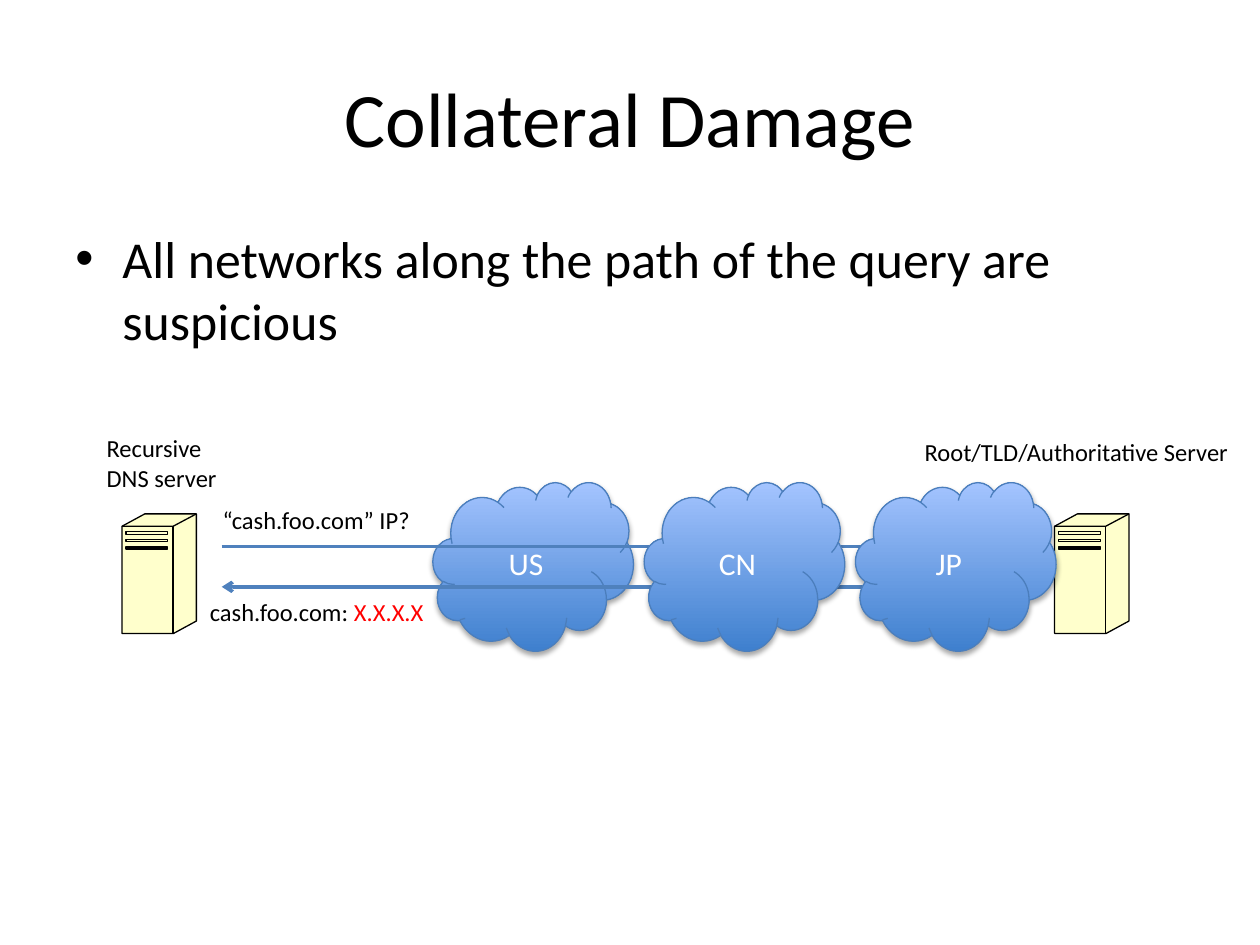
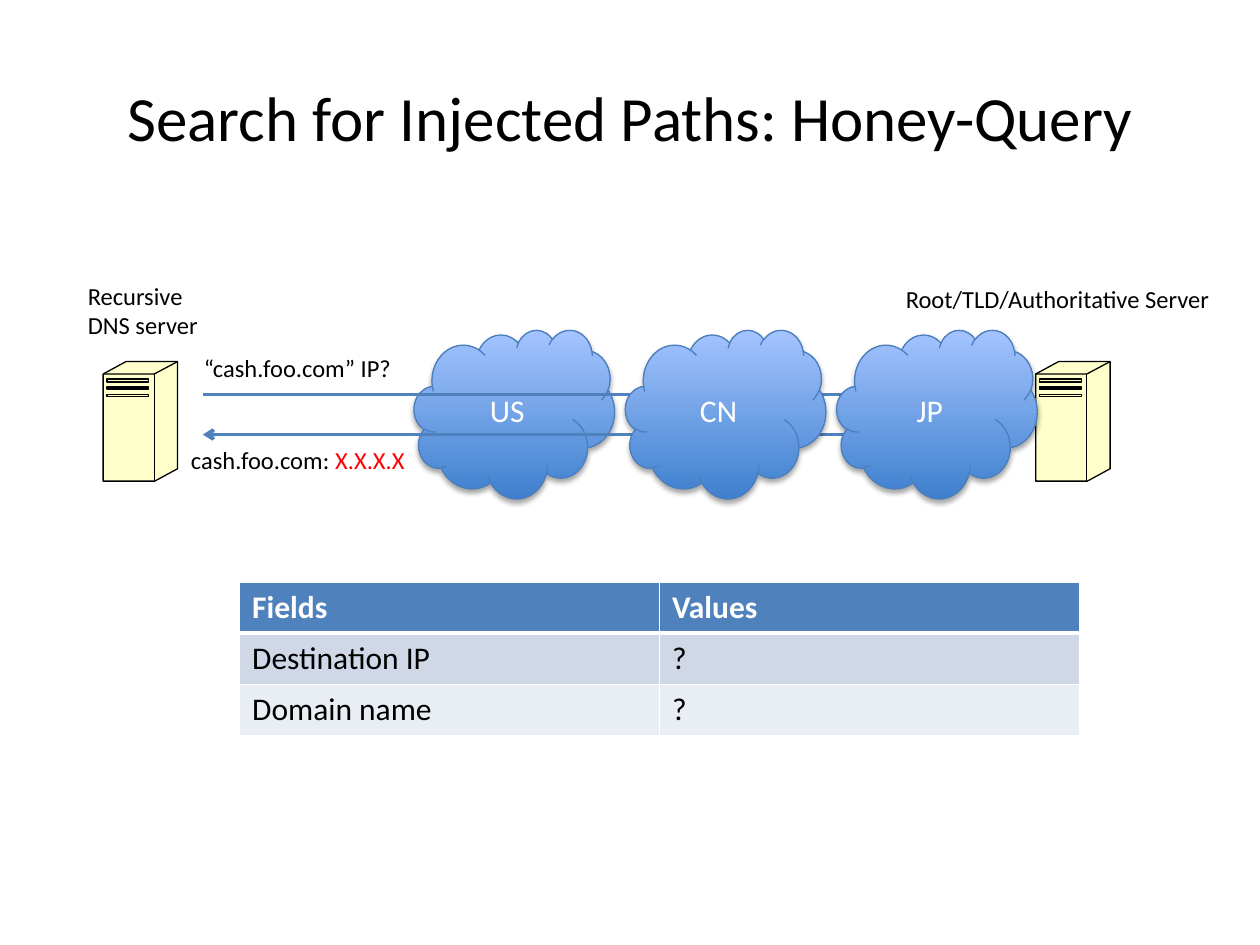
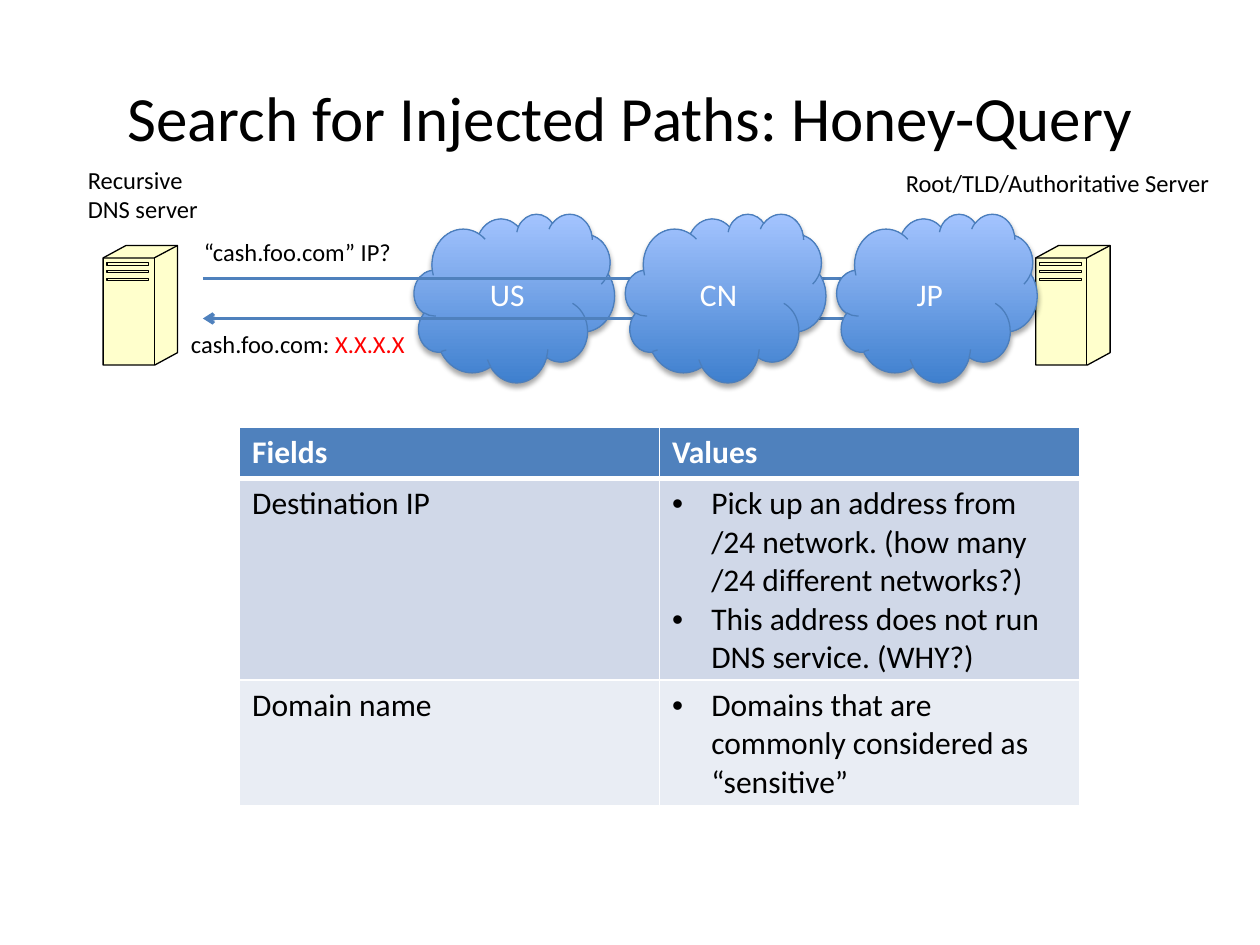
from copy import deepcopy
from dataclasses import dataclass
from itertools import product
from typing import Any, Optional

from lxml.etree import SubElement
from pptx import Presentation
from pptx.dml.color import RGBColor
from pptx.enum.shapes import MSO_CONNECTOR as CONN, MSO_SHAPE as SHAPE
from pptx.enum.text import MSO_ANCHOR as ANCHOR, MSO_AUTO_SIZE as FIT, PP_ALIGN as ALIGN
from pptx.oxml.ns import qn
from pptx.util import Cm, Pt

# Shared colours and font
BLACK = RGBColor(0x00, 0x00, 0x00)
WHITE = RGBColor(0xFF, 0xFF, 0xFF)
RED = RGBColor(0xFF, 0x00, 0x00)
BLUE = RGBColor(0x4F, 0x81, 0xBD)
CLOUD_LINE = RGBColor(0x4B, 0x7E, 0xBC)
CLOUD_DARK = RGBColor(0x3F, 0x80, 0xCE)
CLOUD_LIGHT = RGBColor(0xA4, 0xC4, 0xFF)
SERVER_FILL = RGBColor(0xFF, 0xFF, 0xCC)
ROW_FILLS = (BLUE, RGBColor(0xD0, 0xD8, 0xE8), RGBColor(0xE9, 0xED, 0xF4))
FONT = "Calibri"


@dataclass(frozen=True)
class Run:
    text: str
    color: RGBColor = BLACK


@dataclass(frozen=True)
class Label:
    x: float
    y: float
    w: float
    h: float
    lines: tuple[tuple[Run, ...], ...]


@dataclass(frozen=True)
class FieldTable:
    top: float
    destination: tuple[str, ...]
    domain: tuple[str, ...]
    bulleted: bool = False


@dataclass(frozen=True)
class Page:
    title: str
    title_size: float
    x: float  # top left of the left server
    y: float
    body: str = ""
    table: Optional[FieldTable] = None


# Network diagram, in cm from the top left of the left server
CLOUDS = ("US", "CN", "JP")
CLOUD_X, CLOUD_Y, CLOUD_STEP = 6.27, -0.64, 4.26
CLOUD_W, CLOUD_H = 4.04, 3.4
SERVER_XS = (0, 18.8)
ARROWS = ((2.01, 18.52, 0.66), (18.52, 2.01, 1.47))
LABELS = (
    Label(-0.56, -1.75, 2.77, 1.45, ((Run("Recursive"),), (Run("DNS server"),))),
    Label(15.93, -1.68, 6.73, 0.86, ((Run("Root/TLD/Authoritative Server"),),)),
    Label(1.78, -0.3, 4.37, 0.86, ((Run("“cash.foo.com” IP?"),),)),
    Label(1.52, 1.55, 4.88, 0.86, ((Run("cash.foo.com: "), Run("X.X.X.X", RED)),)),
)

# Server outline and the edges drawn on it
SERVER_BODY = ((0, 0.25), (0.46, 0), (1.5, 0), (1.5, 2.16), (1.04, 2.41), (0, 2.41))
SERVER_EDGES = (
    ((0, 0.25), (1.03, 0.25), (1.5, 0)),
    ((1.03, 0.25), (1.03, 2.41)),
    *(((0.08, y), (0.92, y), (0.92, y + h), (0.08, y + h), (0.08, y))
      for y, h in ((0.35, 0.06), (0.51, 0.04), (0.67, 0.04))),
)

HONEY_TITLE = "Search for Injected Paths: Honey-Query"
PAGES = (
    Page("Collateral Damage", 44, 2.46, 10.36,
         body="All networks along the path of the query are suspicious"),
    Page(HONEY_TITLE, 36, 2.08, 7.29, table=FieldTable(11.73, ("?",), ("?",))),
    Page(HONEY_TITLE, 36, 2.08, 4.95, table=FieldTable(
        8.61,
        ("Pick up an address from /24 network. (how many /24 different networks?)",
         "This address does not run DNS service. (WHY?)"),
        ("Domains that are commonly considered as “sensitive”",),
        bulleted=True)),
)


def apply(target: Any, values: dict[str, Any]) -> None:
    for name, value in values.items():
        setattr(target, name, value)


def child(parent: Any, tag: str, **attrs: Any) -> Any:
    return SubElement(parent, qn(tag), {k: str(v) for k, v in attrs.items()})


def write(p: Any, runs: tuple[Run, ...], size: float, bold: bool = False) -> None:
    for run in runs:
        r = p.add_run()
        r.text = run.text
        apply(r.font, {"name": FONT, "size": Pt(size), "bold": bold})
        r.font.color.rgb = run.color


def add_bullet(p: Any, indent: float) -> None:
    pPr = p._p.get_or_add_pPr()
    apply_indent = {"marL": Cm(indent), "indent": -Cm(indent)}
    for name, value in apply_indent.items():
        pPr.set(name, str(value))
    child(pPr, "a:buFont", typeface="Arial")
    child(pPr, "a:buChar", char="•")


def add_text(s: Any, x: float, y: float, w: float, h: float, **frame: Any) -> Any:
    tf = s.shapes.add_textbox(Cm(x), Cm(y), Cm(w), Cm(h)).text_frame
    apply(tf, frame)
    return tf


def add_title(s: Any, page: Page) -> None:
    tf = add_text(s, 1.27, 0.76, 22.86, 3.18,
                  word_wrap=True, vertical_anchor=ANCHOR.MIDDLE)
    p = tf.paragraphs[0]
    p.alignment = ALIGN.CENTER
    write(p, (Run(page.title),), page.title_size)


def add_body(s: Any, text: str) -> None:
    p = add_text(s, 1.27, 4.45, 22.86, 2.44, word_wrap=True).paragraphs[0]
    add_bullet(p, 0.95)
    write(p, (Run(text),), 29.6)


def add_cloud(s: Any, x: float, y: float, name: str) -> None:
    sp = s.shapes.add_shape(SHAPE.CLOUD, Cm(x), Cm(y), Cm(CLOUD_W), Cm(CLOUD_H))
    sp.fill.gradient()
    sp.fill.gradient_angle = 90
    for stop, color, position in zip(
            sp.fill.gradient_stops, (CLOUD_DARK, CLOUD_LIGHT), (0, 1)):
        stop.color.rgb = color
        stop.position = position
    sp.line.color.rgb = CLOUD_LINE
    sp.line.width = Pt(0.75)
    # Soft shadow below the cloud
    sp.shadow.inherit = False
    effects = sp._element.spPr.find(qn("a:effectLst"))
    shadow = child(effects, "a:outerShdw", blurRad=Pt(3.1), dist=Pt(1.8),
                   dir=5400000, rotWithShape=0)
    child(child(shadow, "a:srgbClr", val=BLACK), "a:alpha", val=35000)
    sp.text_frame.vertical_anchor = ANCHOR.MIDDLE
    p = sp.text_frame.paragraphs[0]
    p.alignment = ALIGN.CENTER
    write(p, (Run(name, WHITE),), 18)


def add_server(s: Any, x: float, y: float) -> None:
    outline, *edges = [[(Cm(px), Cm(py)) for px, py in line]
                       for line in (SERVER_BODY, *SERVER_EDGES)]
    builder = s.shapes.build_freeform(*outline[0])
    builder.add_line_segments(outline[1:], close=True)
    for start, *rest in edges:
        builder.move_to(*start)
        builder.add_line_segments(rest, close=False)
    sp = builder.convert_to_shape(Cm(x), Cm(y))
    # The edges go to a second path that has no fill
    body = next(sp._element.iter(qn("a:path")))
    detail = deepcopy(body)
    detail.set("fill", "none")
    body.addnext(detail)
    split = body.index(body.find(qn("a:close"))) + 1
    del body[split:], detail[:split]
    sp.shadow.inherit = False
    sp.fill.solid()
    sp.fill.fore_color.rgb = SERVER_FILL
    sp.line.color.rgb = BLACK
    sp.line.width = Pt(0.75)


def add_arrow(s: Any, x1: float, x2: float, y: float) -> None:
    c = s.shapes.add_connector(CONN.STRAIGHT, Cm(x1), Cm(y), Cm(x2), Cm(y))
    c.line.color.rgb = BLUE
    c.line.width = Pt(2)
    child(c.line._get_or_add_ln(), "a:tailEnd", type="arrow")
    child(c._element.spPr, "a:effectLst")


def add_label(s: Any, x: float, y: float, label: Label) -> None:
    tf = add_text(s, x + label.x, y + label.y, label.w, label.h,
                  word_wrap=False, auto_size=FIT.SHAPE_TO_FIT_TEXT)
    for i, runs in enumerate(label.lines):
        write(tf.add_paragraph() if i else tf.paragraphs[0], runs, 14)


def add_diagram(s: Any, x: float, y: float) -> None:
    clouds = [(x + CLOUD_X + i * CLOUD_STEP, y + CLOUD_Y, name)
              for i, name in enumerate(CLOUDS)]
    # The arrows cross the first cloud and pass behind the others
    add_cloud(s, *clouds[0])
    for server_x in SERVER_XS:
        add_server(s, x + server_x, y)
    for start, end, arrow_y in ARROWS:
        add_arrow(s, x + start, x + end, y + arrow_y)
    for label in LABELS:
        add_label(s, x, y, label)
    for cloud in clouds[1:]:
        add_cloud(s, *cloud)


def add_borders(cell: Any, row: int) -> None:
    widths = {"L": 1, "R": 1, "T": 3 if row == 1 else 1, "B": 3 if row == 0 else 1}
    tcPr = cell._tc.get_or_add_tcPr()
    for side, width in widths.items():
        ln = child(tcPr, f"a:ln{side}", w=Pt(width))
        child(child(ln, "a:solidFill"), "a:srgbClr", val=WHITE)


def add_field_table(s: Any, spec: FieldTable) -> None:
    rows = ((("Fields",), ("Values",)),
            (("Destination IP",), spec.destination),
            (("Domain name",), spec.domain))
    table = s.shapes.add_table(3, 2, Cm(4.83), Cm(spec.top), Cm(16.93), Cm(3.1)).table
    for row, col in product(range(3), range(2)):
        cell = table.cell(row, col)
        add_borders(cell, row)
        cell.fill.solid()
        cell.fill.fore_color.rgb = ROW_FILLS[row]
        tf = cell.text_frame
        for i, text in enumerate(rows[row][col]):
            p = tf.add_paragraph() if i else tf.paragraphs[0]
            if spec.bulleted and row and col:
                add_bullet(p, 0.79)
            write(p, (Run(text, BLACK if row else WHITE),), 18, bold=row == 0)


def main() -> None:
    prs = Presentation()
    apply(prs, {"slide_width": Cm(25.4), "slide_height": Cm(19.05)})
    for page in PAGES:
        s = prs.slides.add_slide(prs.slide_layouts[6])
        add_title(s, page)
        if page.body:
            add_body(s, page.body)
        add_diagram(s, page.x, page.y)
        if page.table:
            add_field_table(s, page.table)
    prs.save("out.pptx")


if __name__ == "__main__":
    main()
